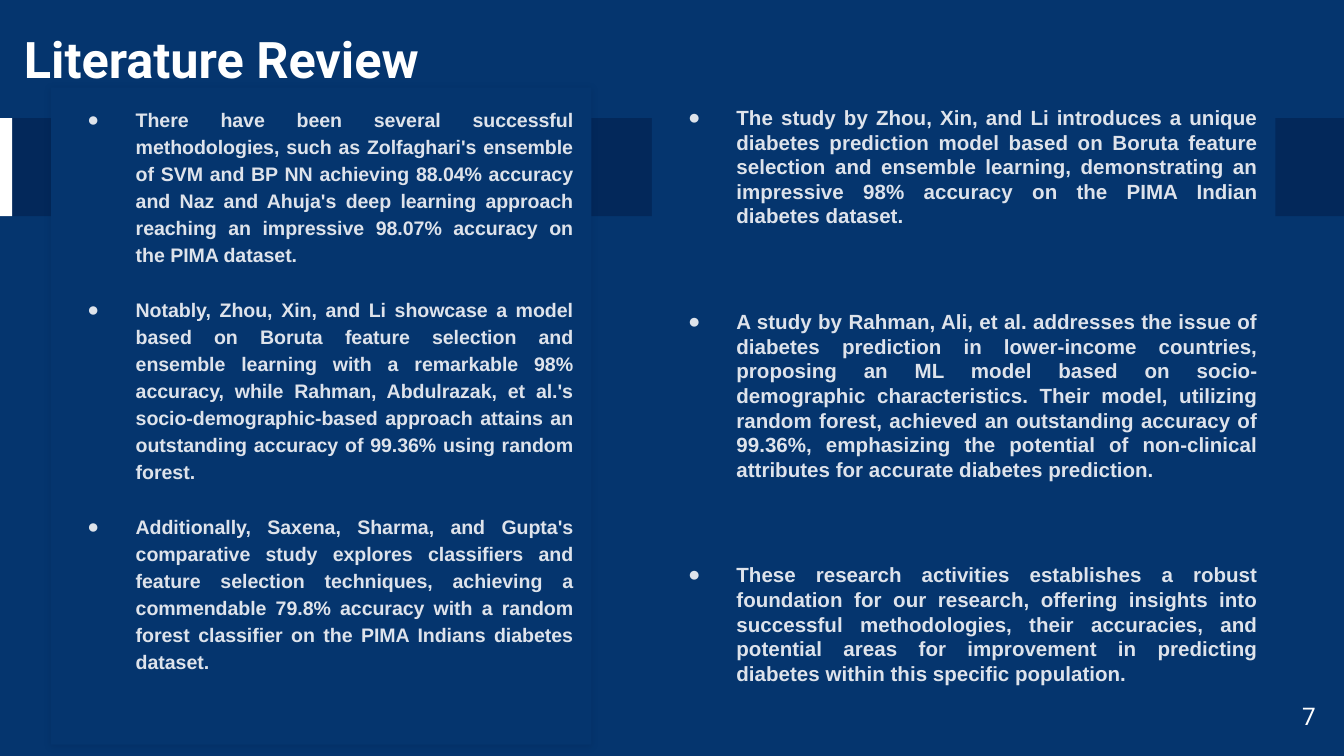
import pptx
import pptx.util
import pptx.oxml
import pptx.oxml.ns
import pptx.dml.color
import pptx.enum.shapes
import pptx.enum.text
import lxml.etree

Inches = pptx.util.Inches
Pt = pptx.util.Pt
qn = pptx.oxml.ns.qn
PP_ALIGN = pptx.enum.text.PP_ALIGN
MIDDLE = pptx.enum.text.MSO_ANCHOR.MIDDLE
NAVY, DARK, WHITE, PALE = "05356E", "001033", "FFFFFF", "DEE3EB"


def color(value):
    return pptx.dml.color.RGBColor.from_string(value)


def add_rectangle(left, top, width, height, fill):
    shape = slide.shapes.add_shape(
        pptx.enum.shapes.MSO_SHAPE.RECTANGLE,
        Inches(left), Inches(top), Inches(width), Inches(height))
    shape.shadow.inherit = False
    shape.fill.solid()
    shape.fill.fore_color.rgb = color(fill)
    shape.line.fill.background()
    return shape


presentation = pptx.Presentation()
presentation.slide_width = Inches(10)
presentation.slide_height = Inches(10 * 9 / 16)
slide = presentation.slides.add_slide(presentation.slide_layouts[6])
slide.background.fill.solid()
slide.background.fill.fore_color.rgb = color(NAVY)

band = add_rectangle(0, 0.88, 10, 0.73, DARK)
band_color = band._element.spPr.find(qn("a:solidFill")).find(qn("a:srgbClr"))
lxml.etree.SubElement(band_color, qn("a:alpha"), val="33000")
add_rectangle(0, 0.88, 0.09, 0.73, WHITE)

labels = [
    ("7", (9.19, 5.11, 0.6, 0.43), 13, False, PP_ALIGN.RIGHT, 0, 0, 1.0),
    ("Literature Review", (0.08, 0.18, 4.64, 0.57), 27, True, PP_ALIGN.LEFT, 0.1, 0.05, 0.9),
]
for text, place, size, bold, alignment, side, edge, spacing in labels:
    box = slide.shapes.add_textbox(*[Inches(length) for length in place])
    frame = box.text_frame
    frame.word_wrap = True
    frame.vertical_anchor = MIDDLE
    frame.margin_left = frame.margin_right = Inches(side)
    frame.margin_top = frame.margin_bottom = Inches(edge)
    paragraph = frame.paragraphs[0]
    paragraph.alignment = alignment
    paragraph.line_spacing = spacing
    run = paragraph.add_run()
    run.text = text
    run.font.name = "Roboto"
    run.font.size = Pt(size)
    run.font.bold = bold
    run.font.color.rgb = color(WHITE)

findings = [
    "There have been several successful methodologies, such as Zolfaghari's ensemble of SVM and BP NN achieving 88.04% accuracy and Naz and Ahuja's deep learning approach reaching an impressive 98.07% accuracy on the PIMA dataset.",
    "Notably, Zhou, Xin, and Li showcase a model based on Boruta feature selection and ensemble learning with a remarkable 98% accuracy, while Rahman, Abdulrazak, et al.'s socio-demographic-based approach attains an outstanding accuracy of 99.36% using random forest.",
    "Additionally, Saxena, Sharma, and Gupta's comparative study explores classifiers and feature selection techniques, achieving a commendable 79.8% accuracy with a random forest classifier on the PIMA Indians diabetes dataset.",
]
studies = [
    "The study by Zhou, Xin, and Li introduces a unique diabetes prediction model based on Boruta feature selection and ensemble learning, demonstrating an impressive 98% accuracy on the PIMA Indian diabetes dataset.",
    "A study by Rahman, Ali, et al. addresses the issue of diabetes prediction in lower-income countries, proposing an ML model based on socio-demographic characteristics. Their model, utilizing random forest, achieved an outstanding accuracy of 99.36%, emphasizing the potential of non-clinical attributes for accurate diabetes prediction.",
    "These research activities establishes a robust foundation for our research, offering insights into successful methodologies, their accuracies, and potential areas for improvement in predicting diabetes within this specific population.",
]
columns = [
    (findings, (0.38, 0.65, 4.02, 4.89), 10.5, 1.15, 15, True),
    (studies, (4.85, 0.65, 4.64, 4.82), 11, 1.0, 43.3, False),
]
for texts, place, size, spacing, gap, shadowed in columns:
    panel = add_rectangle(*place, NAVY)
    if shadowed:
        effects = panel._element.spPr.find(qn("a:effectLst"))
        shadow = lxml.etree.SubElement(
            effects, qn("a:outerShdw"), blurRad=str(Pt(3.4)), dist=str(Pt(0.8)),
            dir="5400000", algn="t", rotWithShape="0")
        shadow_color = lxml.etree.SubElement(shadow, qn("a:srgbClr"), val=DARK)
        lxml.etree.SubElement(shadow_color, qn("a:alpha"), val="15000")
    frame = panel.text_frame
    frame.word_wrap = True
    frame.vertical_anchor = pptx.enum.text.MSO_ANCHOR.TOP
    frame.margin_left = frame.margin_right = Inches(0.13)
    frame.margin_top = frame.margin_bottom = Inches(0.13)
    for index, text in enumerate(texts):
        paragraph = frame.add_paragraph() if index else frame.paragraphs[0]
        paragraph.alignment = PP_ALIGN.JUSTIFY
        paragraph.line_spacing = spacing
        paragraph.space_before = Pt(gap if index else 15)
        properties = paragraph._p.get_or_add_pPr()
        properties.set("marL", str(Inches(0.5)))
        properties.set("indent", str(Inches(-0.36)))
        bullet_color = lxml.etree.SubElement(properties, qn("a:buClr"))
        lxml.etree.SubElement(bullet_color, qn("a:srgbClr"), val=PALE)
        lxml.etree.SubElement(properties, qn("a:buFont"), typeface="Arial")
        lxml.etree.SubElement(properties, qn("a:buChar"), char="●")
        run = paragraph.add_run()
        run.text = text
        run.font.name = "Arial"
        run.font.size = Pt(size)
        run.font.bold = True
        run.font.color.rgb = color(PALE)

presentation.save("out.pptx")
